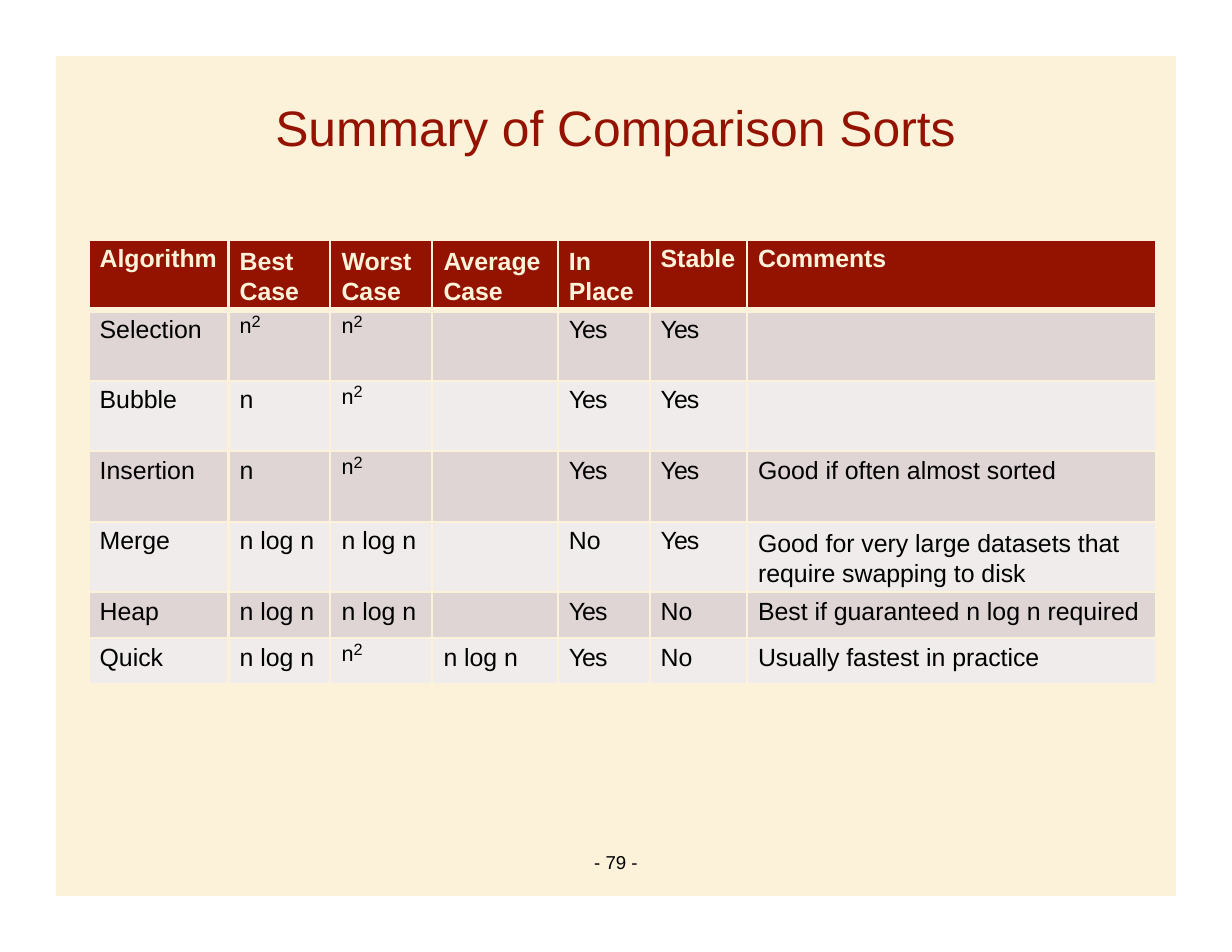
import pptx
import pptx.dml.color
import pptx.enum.shapes
import pptx.enum.text
import pptx.oxml
import pptx.oxml.ns
import pptx.util

WIDTH, HEIGHT, MARGIN = 11, 8.5, 0.5
FONT = "Arial"
COLORS = {
    "cream": "FCF2DA",
    "maroon": "941300",
    "dark band": "E0D5D5",
    "light band": "F1ECEC",
    "ink": "000000",
}
SQUARED = "n²"
COLUMN_WIDTHS = [1.25, 0.91, 0.91, 1.12, 0.82, 0.87, 3.65]
ROW_HEIGHTS = [0.63] * 5 + [0.41] * 2
TABLE_LEFT, TABLE_TOP = 0.79, 2.14
CELL_INDENT = 0.1
RULE, HEADER_RULE = 1.5, 4.25
SORTS = [
    ["Algorithm", "Best Case", "Worst Case", "Average Case", "In Place", "Stable", "Comments"],
    ["Selection", SQUARED, SQUARED, "", "Yes", "Yes", ""],
    ["Bubble", "n", SQUARED, "", "Yes", "Yes", ""],
    ["Insertion", "n", SQUARED, "", "Yes", "Yes", "Good if often almost sorted"],
    ["Merge", "n log n", "n log n", "", "No", "Yes",
     "Good for very large datasets that require swapping to disk"],
    ["Heap", "n log n", "n log n", "", "Yes", "No", "Best if guaranteed n log n required"],
    ["Quick", "n log n", SQUARED, "n log n", "Yes", "No", "Usually fastest in practice"],
]
TWO_LINE_CELLS = {SORTS[0][column] for column in range(1, 5)} | {SORTS[4][6]}


def inches(*lengths):
    return [pptx.util.Inches(length) for length in lengths]


def rgb(name):
    return pptx.dml.color.RGBColor.from_string(COLORS[name])


def style_font(font, size, color, bold=False):
    font.name = FONT
    font.size = pptx.util.Pt(size)
    font.bold = bold
    font.color.rgb = rgb(color)


def add_panel(slide):
    panel = slide.shapes.add_shape(
        pptx.enum.shapes.MSO_SHAPE.RECTANGLE,
        *inches(MARGIN, MARGIN, WIDTH - 2 * MARGIN, HEIGHT - 2 * MARGIN))
    panel.shadow.inherit = False
    panel.fill.solid()
    panel.fill.fore_color.rgb = rgb("cream")
    panel.line.fill.background()


def add_centered_text(slide, text, top, width, height, size, color):
    box = slide.shapes.add_textbox(*inches((WIDTH - width) / 2, top, width, height))
    frame = box.text_frame
    frame.word_wrap = True
    frame.margin_left = frame.margin_right = frame.margin_top = frame.margin_bottom = 0
    paragraph = frame.paragraphs[0]
    paragraph.text = text
    paragraph.alignment = pptx.enum.text.PP_ALIGN.CENTER
    style_font(paragraph.font, size, color)


def set_borders(cell, top, bottom):
    properties = cell._tc.get_or_add_tcPr()
    for side, width in (("L", RULE), ("R", RULE), ("T", top), ("B", bottom)):
        properties.append(pptx.oxml.parse_xml(
            f'<a:ln{side} {pptx.oxml.ns.nsdecls("a")} w="{pptx.util.Pt(width)}">'
            f'<a:solidFill><a:srgbClr val="{COLORS["cream"]}"/></a:solidFill></a:ln{side}>'))


def write_squared(paragraph):
    """Write n² as a lowered large n followed by a small raised 2."""
    paragraph.line_spacing = pptx.util.Pt(18)
    for text, size, baseline in (("n", 24, -17000), ("2", 10.5, 0)):
        run = paragraph.add_run()
        run.text = text
        style_font(run.font, size, "ink")
        run._r.get_or_add_rPr().set("baseline", str(baseline))


def write_cell(cell, text, is_header):
    cell.margin_left = pptx.util.Inches(CELL_INDENT)
    cell.margin_right = cell.margin_bottom = 0
    cell.margin_top = pptx.util.Inches(0 if text == SQUARED else 0.05)
    paragraph = cell.text_frame.paragraphs[0]
    if text == SQUARED:
        write_squared(paragraph)
        return
    paragraph.text = text
    style_font(paragraph.font, 16, "cream" if is_header else "ink", is_header)
    if text in TWO_LINE_CELLS:
        cell.margin_top = pptx.util.Inches(0.06)
        paragraph.line_spacing = pptx.util.Pt(19)
    if text == "Yes":
        paragraph.runs[0]._r.get_or_add_rPr().set("spc", "-60")


def add_sorts_table(slide):
    table = slide.shapes.add_table(
        len(ROW_HEIGHTS), len(COLUMN_WIDTHS),
        *inches(TABLE_LEFT, TABLE_TOP, sum(COLUMN_WIDTHS), sum(ROW_HEIGHTS))).table
    table.horz_banding = False
    for column, width in zip(table.columns, COLUMN_WIDTHS):
        column.width = pptx.util.Inches(width)
    for index, (row, height, texts) in enumerate(zip(table.rows, ROW_HEIGHTS, SORTS)):
        row.height = pptx.util.Inches(height)
        is_header = index == 0
        band = "maroon" if is_header else ("light band", "dark band")[index % 2]
        for cell, text in zip(row.cells, texts):
            set_borders(cell, HEADER_RULE if index == 1 else RULE,
                        HEADER_RULE if is_header else RULE)
            cell.fill.solid()
            cell.fill.fore_color.rgb = rgb(band)
            write_cell(cell, text, is_header)


def main():
    presentation = pptx.Presentation()
    presentation.slide_width, presentation.slide_height = inches(WIDTH, HEIGHT)
    slide = presentation.slides.add_slide(presentation.slide_layouts[6])
    add_panel(slide)
    add_centered_text(slide, "Summary of Comparison Sorts", 0.86, 6.2, 0.56, 32, "maroon")
    add_centered_text(slide, "- 79 -", 7.6, 0.51, 0.21, 12, "ink")
    add_sorts_table(slide)
    presentation.save("out.pptx")


if __name__ == "__main__":
    main()
